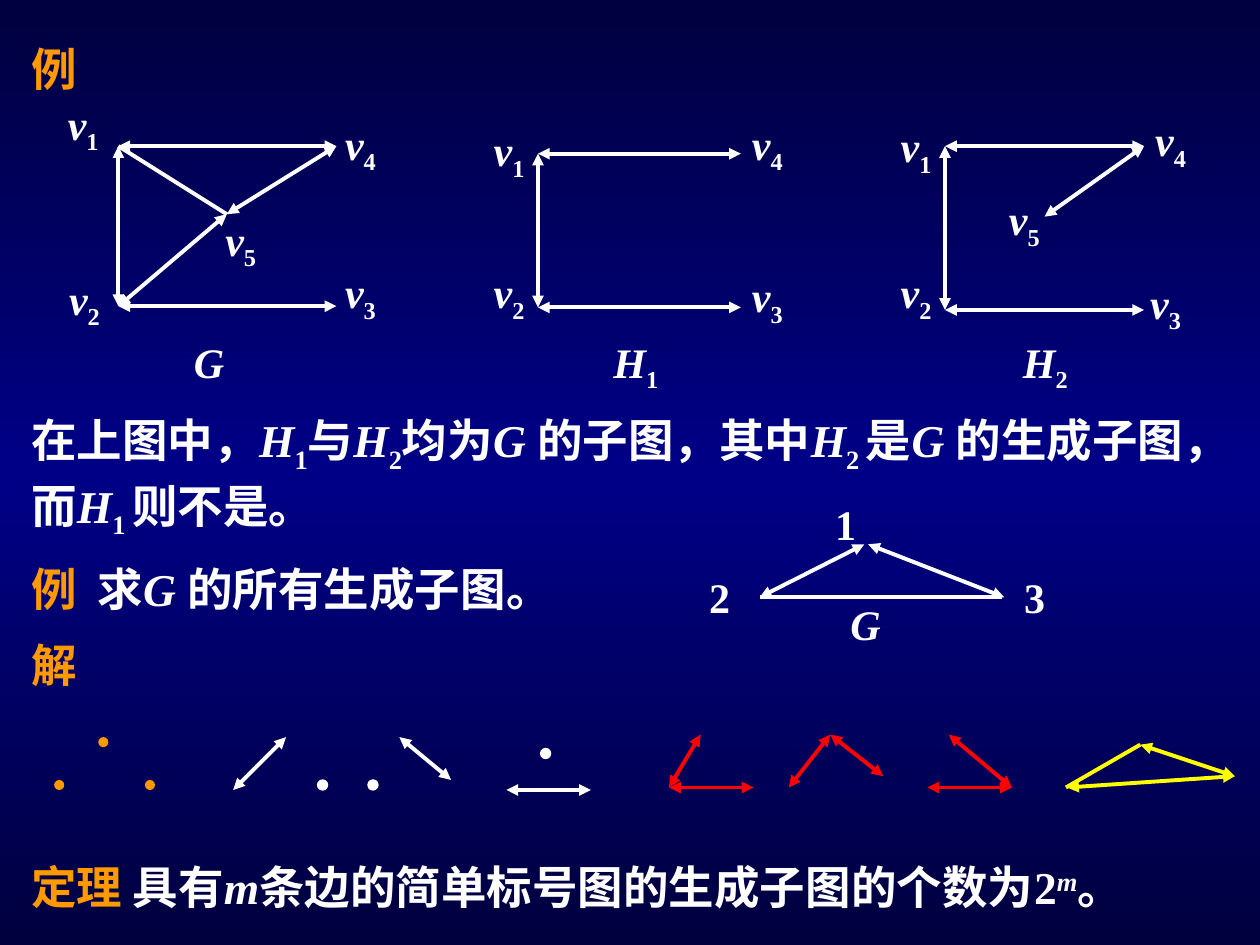
from copy import deepcopy

from lxml.etree import SubElement
from pptx import Presentation
from pptx.dml.color import RGBColor
from pptx.enum.shapes import MSO_CONNECTOR, MSO_SHAPE
from pptx.oxml.ns import qn
from pptx.util import Inches, Pt

WHITE = RGBColor(0xFF, 0xFF, 0xFF)
ORANGE = RGBColor(0xFF, 0x99, 0x00)
RED = RGBColor(0xFF, 0x00, 0x00)
YELLOW = RGBColor(0xFF, 0xFF, 0x00)
NAVY = RGBColor(0x00, 0x00, 0x3E)
BLUE = RGBColor(0x00, 0x00, 0x86)
LATIN = "Times New Roman"
HAN = "Noto Sans CJK SC"
DOT = 0.08

# Each graph: vertex places, edges, label places, name and its place.
# An edge ending in "-" has no arrowheads.
GRAPHS = [
    ({1: (0.94, 1.16), 2: (0.94, 2.43), 3: (2.67, 2.43), 4: (2.67, 1.16),
      5: (1.8, 1.7)},
     ["23", "14", "21", "25", "54", "15-"],
     {1: (0.44, 0.73), 2: (0.45, 2.12), 3: (2.64, 2.07), 4: (2.64, 0.89),
      5: (1.69, 1.65)},
     [("G", "i")], 1.44),
    ({1: (4.27, 1.22), 2: (4.27, 2.44), 3: (5.88, 2.44), 4: (5.88, 1.22)},
     ["23", "14", "21"],
     {1: (3.82, 0.94), 2: (3.82, 2.07), 3: (5.87, 2.1), 4: (5.87, 0.89)},
     [("H", "i"), ("1", "sub")], 4.77),
    ({1: (7.5, 1.16), 2: (7.5, 2.46), 3: (9.08, 2.46), 4: (9.08, 1.16),
      5: (8.29, 1.72)},
     ["23", "14", "21", "54"],
     {1: (7.05, 0.91), 2: (7.05, 2.07), 3: (9.03, 2.15), 4: (9.07, 0.86),
      5: (7.91, 1.49)},
     [("H", "i"), ("2", "sub")], 8.02),
]

# Runs are (text, style), with an optional colour.
NOTES = [
    (0.28, 2.8, [("例", "", ORANGE)]),
    (3.2, 9.37, [
        ("在上图中，", ""), ("H", "i"), ("1", "sub"), ("与", ""), ("H", "i"),
        ("2", "sub"), ("均为", ""), ("G ", "i"), ("的子图，其中", ""),
        ("H", "i"), ("2 ", "sub"), ("是", ""), ("G ", "i"),
        ("的生成子图，而", ""), ("H", "i"), ("1 ", "sub"), ("则不是。", "")]),
    (4.4, 4.53, [("例  ", "", ORANGE), ("求", ""), ("G ", "i"),
                 ("的所有生成子图。", "")]),
    (5.01, 0.95, [("解", "", ORANGE)]),
    (6.77, 9.37, [("定理", "", ORANGE), (" 具有", ""), ("m", "i"),
                  ("条边的简单标号图的生成子图的个数为", ""), ("2", ""),
                  ("m", "sup"), ("。", "")]),
]

DOTS = [(0.78, 5.85, ORANGE), (0.43, 6.19, ORANGE), (1.15, 6.19, ORANGE),
        (2.52, 6.19, WHITE), (2.92, 6.19, WHITE), (4.29, 5.94, WHITE)]

# Edges of the triangle G and of its spanning subgraphs: start, end, colour.
EDGES = [
    ((6.86, 4.32), (6.03, 4.74), WHITE),
    ((6.89, 4.32), (7.97, 4.74), WHITE),
    ((2.27, 5.85), (1.85, 6.27), WHITE),
    ((3.17, 5.85), (3.58, 6.19), WHITE),
    ((4.02, 6.27), (4.69, 6.27), WHITE),
    ((5.56, 5.83), (5.31, 6.25), RED),
    ((5.31, 6.25), (5.98, 6.25), RED),
    ((6.59, 5.83), (6.26, 6.25), RED),
    ((6.59, 5.83), (7.01, 6.16), RED),
    ((7.36, 6.25), (8.03, 6.25), RED),
    ((7.53, 5.83), (8.03, 6.25), RED),
    ((9.05, 5.91), (9.8, 6.16), YELLOW),
    ((8.47, 6.25), (9.8, 6.16), YELLOW),
]
PLAIN = [((6.03, 4.74), (7.95, 4.74), WHITE),
         ((9.05, 5.91), (8.46, 6.25), YELLOW)]


def paint_back(slide):
    fill = slide.background.fill
    fill.gradient()
    fill.gradient_angle = 90
    stops = slide.element.find(".//" + qn("a:gsLst"))
    stops.append(deepcopy(stops[-1]))
    for stop, (place, tone) in zip(fill.gradient_stops,
                                   [(0, NAVY), (0.5, BLUE), (1, NAVY)]):
        stop.position = place
        stop.color.rgb = tone


def add_run(para, size, text, style, color=WHITE):
    run = para.add_run()
    run.text = text
    font = run.font
    font.size, font.bold, font.name = Pt(size), True, LATIN
    font.italic = style in ("i", "sup")
    font.color.rgb = color
    props = font._element
    SubElement(props, qn("a:ea")).set("typeface", HAN)
    shift = {"sub": "-25000", "sup": "30000"}.get(style)
    if shift:
        props.set("baseline", shift)


def add_text(slide, left, top, width, height, runs, size=24, wrap=False):
    box = slide.shapes.add_textbox(
        Inches(left), Inches(top), Inches(width), Inches(height))
    box.text_frame.word_wrap = wrap
    para = box.text_frame.paragraphs[0]
    for run in runs:
        add_run(para, size, *run)
    return para


def add_edge(slide, start, end, color=WHITE, heads=True):
    edge = slide.shapes.add_connector(
        MSO_CONNECTOR.STRAIGHT, *map(Inches, start + end))
    edge.line.color.rgb = color
    edge.line.width = Pt(2.25)
    if heads:
        line = edge.line._get_or_add_ln()
        for tag in ("a:headEnd", "a:tailEnd"):
            SubElement(line, qn(tag)).set("type", "triangle")
    SubElement(edge._element.spPr, qn("a:effectLst"))


def add_dot(slide, left, top, color):
    dot = slide.shapes.add_shape(
        MSO_SHAPE.OVAL, Inches(left), Inches(top), Inches(DOT), Inches(DOT))
    dot.shadow.inherit = False
    dot.fill.solid()
    dot.fill.fore_color.rgb = color
    if color == WHITE:
        dot.line.color.rgb = color
        dot.line.width = Pt(0.75)
    else:
        dot.line.fill.background()


def add_graph(slide, nodes, edges, labels, name, left):
    for edge in edges:
        add_edge(slide, nodes[int(edge[0])], nodes[int(edge[1])],
                 heads=not edge.endswith("-"))
    for num, place in labels.items():
        add_text(slide, *place, 0.57, 0.56, [("v", "i"), (str(num), "sub")])
    add_text(slide, left, 2.62, 0.8, 0.56, name)


def main():
    deck = Presentation()
    deck.slide_width, deck.slide_height = Inches(10), Inches(7.5)
    slide = deck.slides.add_slide(deck.slide_layouts[6])
    paint_back(slide)
    for graph in GRAPHS:
        add_graph(slide, *graph)
    for top, width, runs in NOTES:
        tall = top == 3.2
        para = add_text(slide, 0.15, top, width, 1.14 if tall else 0.54,
                        runs, 26, True)
        if tall:
            para.line_spacing = 1.05
    for text, left, top, style in [("1", 6.53, 3.91, ""), ("2", 5.53, 4.49, ""),
                                   ("3", 8.03, 4.49, ""), ("G", 6.65, 4.7, "i")]:
        add_text(slide, left, top, 0.5, 0.5, [(text, style)])
    for edge in EDGES:
        add_edge(slide, *edge)
    for edge in PLAIN:
        add_edge(slide, *edge, heads=False)
    for dot in DOTS:
        add_dot(slide, *dot)
    deck.save("out.pptx")


if __name__ == "__main__":
    main()
